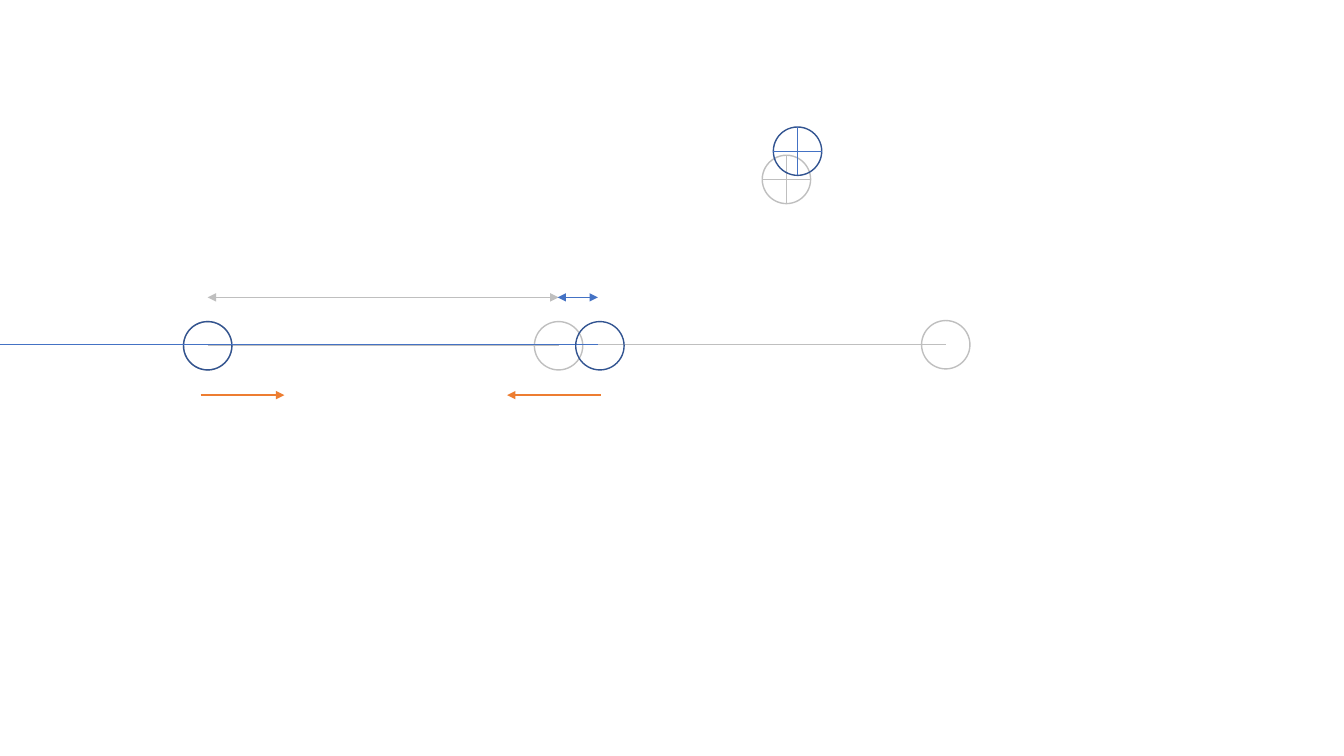
from dataclasses import dataclass

from lxml import etree
from pptx import Presentation
from pptx.dml.color import RGBColor
from pptx.enum.shapes import MSO_CONNECTOR, MSO_SHAPE
from pptx.oxml.ns import qn
from pptx.util import Inches, Pt

OVAL = MSO_SHAPE.OVAL
STRAIGHT = MSO_CONNECTOR.STRAIGHT


@dataclass(frozen=True)
class Theme:
    grey: str = "BFBFBF"
    navy: str = "325491"
    blue: str = "4472C4"
    orange: str = "ED7D31"
    thin: float = 0.5
    bold: float = 1
    size: float = 0.48  # ball diameter


THEME = Theme()


def ink(line, color, width):
    line.color.rgb = RGBColor.from_string(color)
    line.width = Pt(width)


def ball(shapes, x, y, color):
    """Draw an open circle centred on (x, y)."""
    size = THEME.size
    oval = shapes.add_shape(OVAL, Inches(x - size / 2), Inches(y - size / 2),
                            Inches(size), Inches(size))
    oval.shadow.inherit = False
    oval.fill.background()
    ink(oval.line, color, THEME.bold)


def line(shapes, start, end, color, width=THEME.thin, heads=()):
    """Draw a straight line; heads names the ends that carry a triangle."""
    link = shapes.add_connector(STRAIGHT, *map(Inches, start + end))
    ink(link.line, color, width)
    stroke = link.line._get_or_add_ln()
    for side in heads:
        etree.SubElement(stroke, qn(f"a:{side}"), type="triangle")
    etree.SubElement(link._element.spPr, qn("a:effectLst"))


def target(shapes, x, y, edge, cross):
    """Draw a circle with a crosshair."""
    half = THEME.size / 2
    ball(shapes, x, y, edge)
    line(shapes, (x, y - half), (x, y + half), cross)
    line(shapes, (x - half, y), (x + half, y), cross)


def span(shapes, left, right, y, color):
    """Draw a double-headed measure."""
    line(shapes, (left, y), (right, y), color, heads=("headEnd", "tailEnd"))


def push(shapes, start, end, y):
    """Draw a force arrow."""
    line(shapes, (start, y), (end, y), THEME.orange, THEME.bold, ("tailEnd",))


def main():
    deck = Presentation()
    deck.slide_width, deck.slide_height = Inches(13.33), Inches(7.5)
    shapes = deck.slides.add_slide(deck.slide_layouts[6]).shapes

    left, rest, moved, far = 2.06, 5.54, 5.95, 9.38
    axis, gauge, force = 3.43, 2.95, 3.92

    # Rest state in grey
    rests = shapes.add_group_shape().shapes
    ball(rests, left, axis, THEME.grey)
    target(rests, 7.8, 1.78, THEME.grey, THEME.grey)
    line(rests, (left, axis), (rest, axis), THEME.grey)
    ball(rests, rest, axis, THEME.grey)
    ball(rests, far, 3.42, THEME.grey)
    line(rests, (5.9, 3.42), (far, 3.42), THEME.grey)
    span(rests, left, rest, gauge, THEME.grey)

    # Displaced target
    target(shapes.add_group_shape().shapes, 7.91, 1.5, THEME.navy, THEME.blue)

    # Stretched state in blue
    span(shapes, 5.53, 5.93, gauge, THEME.blue)
    ball(shapes, left, axis, THEME.navy)
    line(shapes, (left, 3.42), (5.93, 3.42), THEME.blue)
    ball(shapes, moved, axis, THEME.navy)
    line(shapes, (0, 3.42), (2.07, 3.42), THEME.blue)

    # Restoring forces
    push(shapes, 5.96, 5.03, force)
    push(shapes, 1.99, 2.82, force)

    deck.save("out.pptx")


if __name__ == "__main__":
    main()
